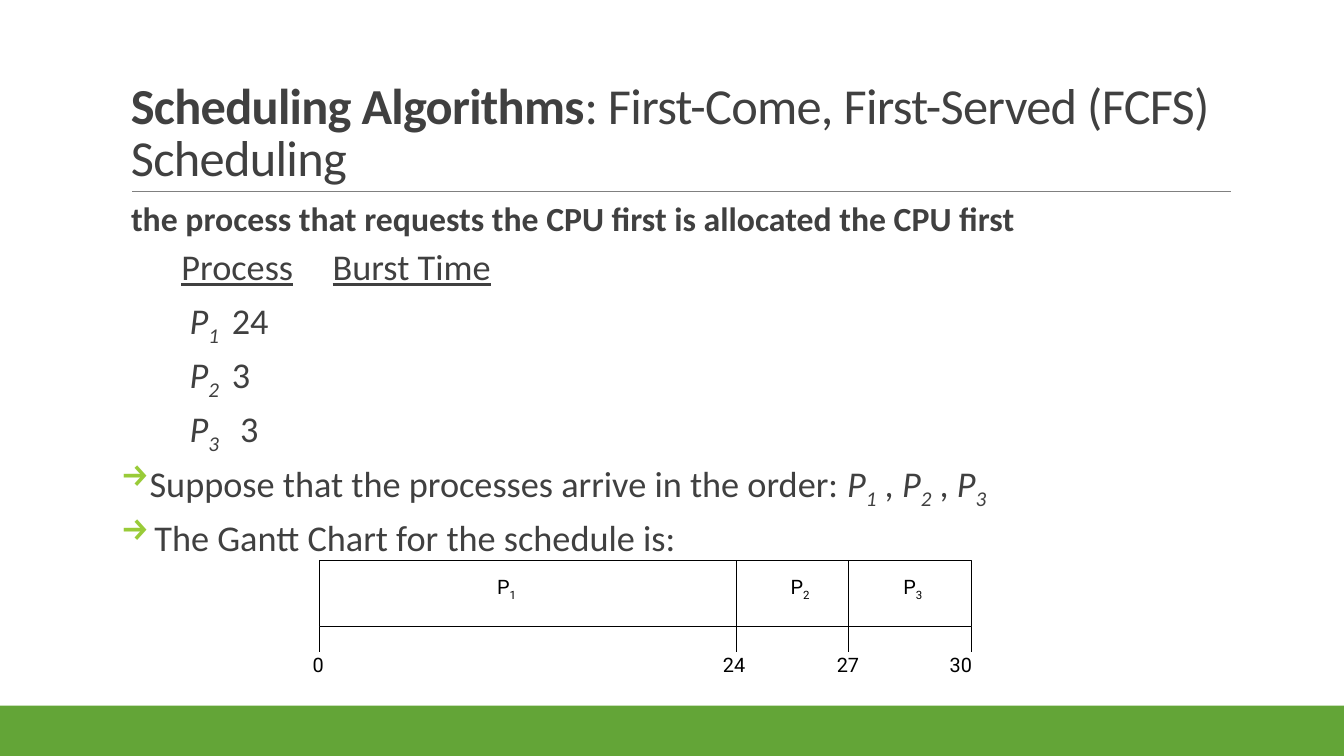
from lxml import etree
from pptx import Presentation
from pptx.dml.color import RGBColor
from pptx.enum import shapes, text
from pptx.oxml import ns
from pptx.util import Inches, Pt

GREEN = RGBColor(0x63, 0xA5, 0x37)
LIME = "99CB38"
GRAY = RGBColor(0x80, 0x80, 0x80)
DARK = RGBColor(0x40, 0x40, 0x40)
BLACK = RGBColor(0, 0, 0)
WHITE = RGBColor(255, 255, 255)

deck = Presentation()
deck.slide_width, deck.slide_height = Inches(13.33), Inches(7.5)
slide = deck.slides.add_slide(deck.slide_layouts[6])


def write(para, parts, size, face, color):
    """Add runs; style letters: b bold, i italic, u underline, s subscript."""
    para.font.size, para.font.name = Pt(size), face
    para.font.color.rgb = color
    for words, style in parts:
        run = para.add_run()
        run.text = words
        if "b" in style:
            run.font.bold = True
        if "i" in style:
            run.font.italic = True
        if "u" in style:
            run.font.underline = True
        if "s" in style:
            run.font._element.set("baseline", "-25000")


def rule(x1, y1, x2, y2, color, width):
    line = slide.shapes.add_connector(
        shapes.MSO_CONNECTOR.STRAIGHT,
        Inches(x1), Inches(y1), Inches(x2), Inches(y2))
    line.line.color.rgb, line.line.width = color, Pt(width)
    etree.SubElement(line._element.spPr, ns.qn("a:effectLst"))


# Footer band and title rule
band = slide.shapes.add_shape(shapes.MSO_SHAPE.RECTANGLE, 0, Inches(7),
                              deck.slide_width, Inches(0.5))
band.shadow.inherit = False
band.fill.solid()
band.fill.fore_color.rgb = GREEN
band.line.fill.background()
rule(1.31, 1.9, 12.21, 1.9, GRAY, 0.5)

# Title
frame = slide.shapes.add_textbox(Inches(1.2), Inches(0.31),
                                 Inches(11), Inches(1.59)).text_frame
frame.word_wrap = True
frame.vertical_anchor = text.MSO_ANCHOR.BOTTOM
para = frame.paragraphs[0]
para.line_spacing = 0.85
write(para, [("Scheduling Algorithms", "b"),
             (": First-Come, First-Served (FCFS) Scheduling", "")],
      36, "Calibri", DARK)
for run in para.runs:
    run.font._element.set("spc", "-50")

# Body: size, bullet, runs; columns sit on the default one-inch tabs
rows = [
    (24.1, False, [("the process that requests the CPU first is "
                    "allocated the CPU first", "b")]),
    (25.9, False, [("\t", ""), ("Process", "u"), ("\t", ""),
                   ("Burst Time", "u")]),
]
for num, burst in (("1", "24"), ("2", "3"), ("3", " 3")):
    rows.append((25.9, False, [("\t ", ""), ("P", "i"), (num, "is"),
                               ("\t" + burst, "")]))
rows += [
    (25.9, True, [("Suppose that the processes arrive in the order: ", ""),
                  ("P", "i"), ("1", "is"), (" , ", ""),
                  ("P", "i"), ("2", "is"), (" , ", ""),
                  ("P", "i"), ("3", "is")]),
    (25.9, True, [(" ", "is"), ("The Gantt Chart for the schedule is:", "")]),
]
frame = slide.shapes.add_textbox(Inches(1.2), Inches(2.02),
                                 Inches(11), Inches(3.54)).text_frame
frame.word_wrap = True
frame.margin_left = frame.margin_right = 0
for i, (size, mark, parts) in enumerate(rows):
    para = frame.add_paragraph() if i else frame.paragraphs[0]
    para.line_spacing = 0.7
    para.space_before, para.space_after = Pt(12), Pt(2)
    props = para._p.get_or_add_pPr()
    props.set("marL", str(Inches(0.1)))
    props.set("indent", str(Inches(-0.1 if mark else 0)))
    if mark:
        tint = etree.SubElement(props, ns.qn("a:buClr"))
        etree.SubElement(tint, ns.qn("a:srgbClr"), val=LIME)
        etree.SubElement(props, ns.qn("a:buChar"), char="→")
    write(para, parts, size, "Calibri", DARK)

# Gantt chart: bar, dividers and ticks
edges = [3.17, 7.3, 8.42, 9.64]
top, base, foot = 5.56, 6.22, 6.47
bar = slide.shapes.add_shape(
    shapes.MSO_SHAPE.RECTANGLE, Inches(edges[0]), Inches(top),
    Inches(edges[-1] - edges[0]), Inches(base - top))
bar.shadow.inherit = False
bar.fill.solid()
bar.fill.fore_color.rgb = WHITE
bar.line.color.rgb, bar.line.width = BLACK, Pt(0.75)
for x in edges:
    rule(x, base, x, foot, BLACK, 0.75)
for x in edges[1:-1]:
    rule(x, top, x, base, BLACK, 0.75)

# Gantt labels: left, top, width, runs
labels = [(x, 5.67, 0.41, [("P", ""), (num, "s")])
          for x, num in ((4.82, "1"), (7.73, "2"), (8.85, "3"))]
labels += [(x, 6.42, wide, [(time, "")]) for x, wide, time in
           ((3, 0.31, "0"), (7.07, 0.42, "24"),
            (8.2, 0.42, "27"), (9.32, 0.42, "30"))]
for x, y, wide, parts in labels:
    frame = slide.shapes.add_textbox(Inches(x), Inches(y), Inches(wide),
                                     Inches(0.34)).text_frame
    frame.word_wrap = False
    frame.vertical_anchor = text.MSO_ANCHOR.MIDDLE
    para = frame.paragraphs[0]
    para.alignment = text.PP_ALIGN.CENTER
    write(para, parts, 14.2, "Roboto", BLACK)

deck.save("out.pptx")
